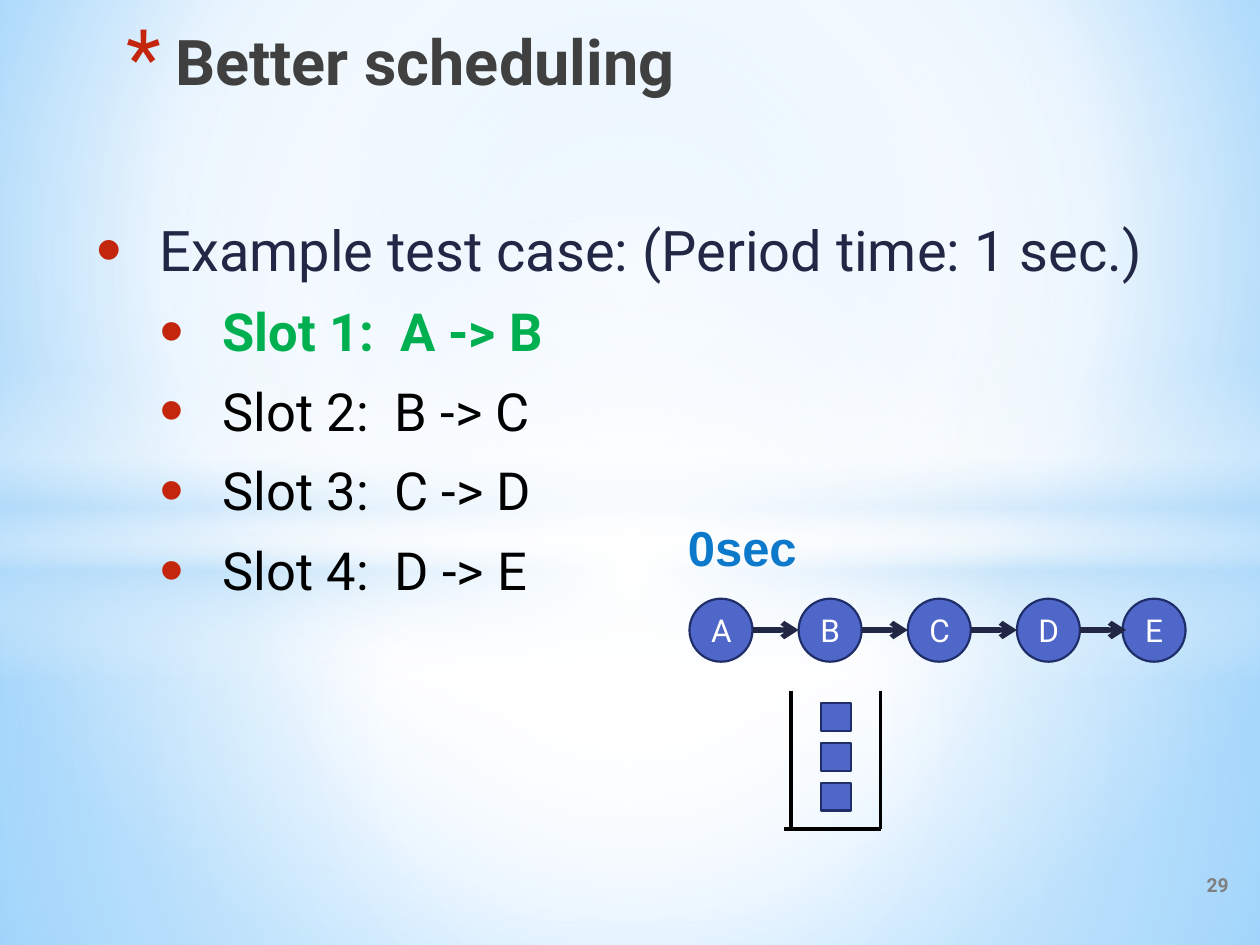
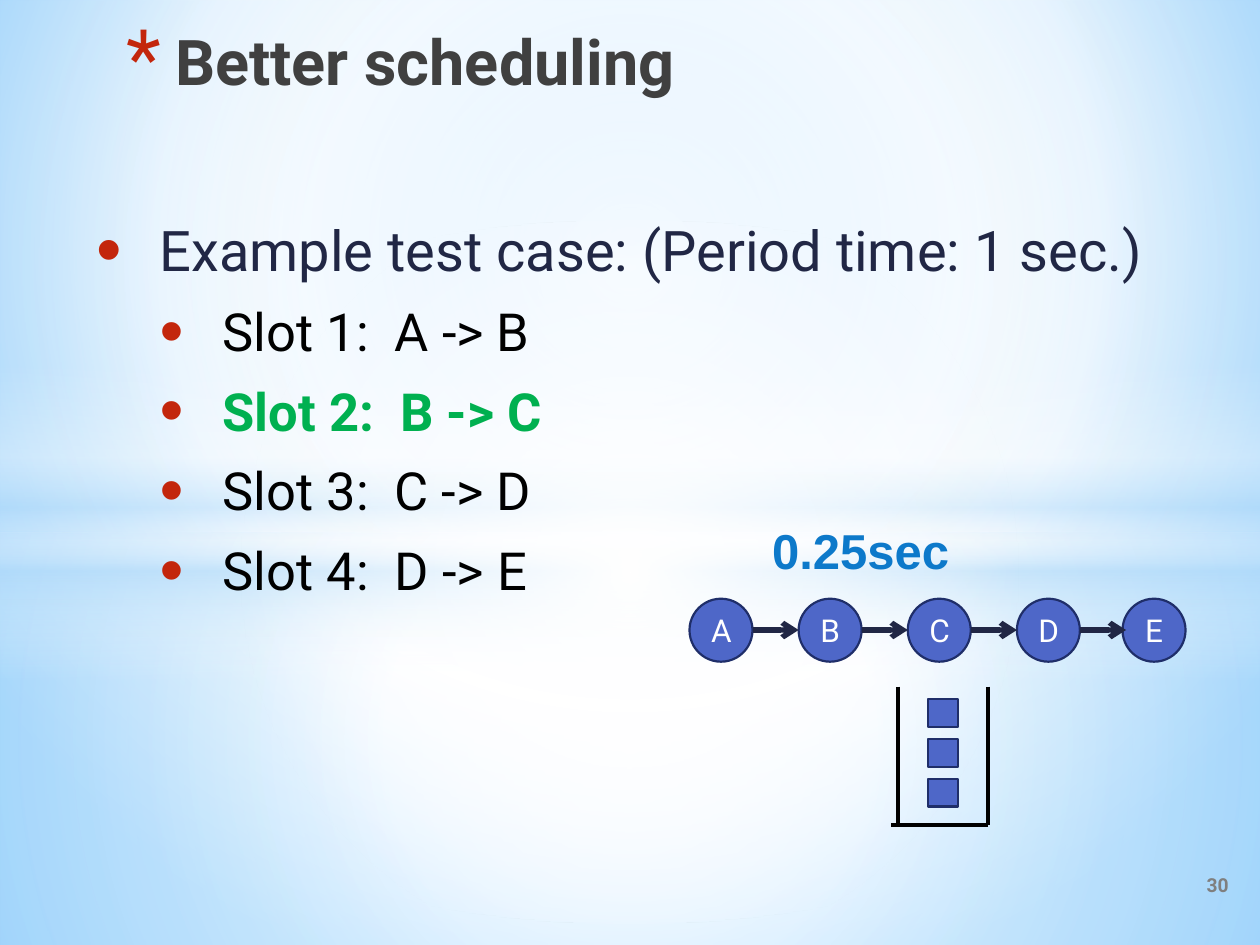
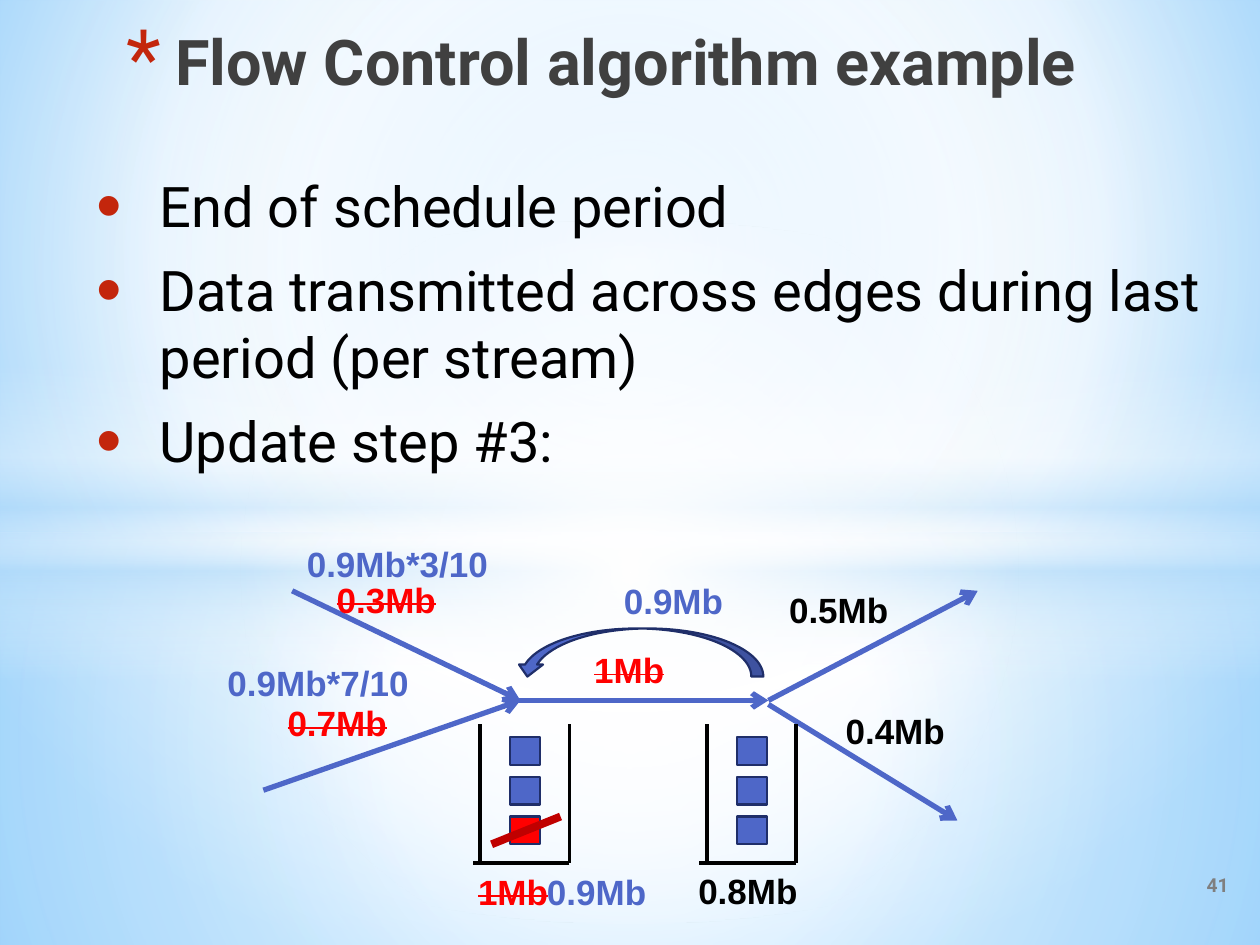
import lxml.etree
import pptx
import pptx.dml.color
import pptx.enum.dml
import pptx.enum.shapes
import pptx.enum.text
import pptx.oxml.ns
import pptx.util

Cm, Pt = pptx.util.Cm, pptx.util.Pt
RGBColor = pptx.dml.color.RGBColor
SHAPE = pptx.enum.shapes.MSO_SHAPE
ALIGN = pptx.enum.text.PP_ALIGN
MIDDLE = pptx.enum.text.MSO_ANCHOR.MIDDLE
STRAIGHT = pptx.enum.shapes.MSO_CONNECTOR.STRAIGHT
qn = pptx.oxml.ns.qn
sub = lxml.etree.SubElement

BLACK = RGBColor(0x00, 0x00, 0x00)
WHITE = RGBColor(0xFF, 0xFF, 0xFF)
TITLE_GRAY = RGBColor(0x40, 0x40, 0x40)
NUMBER_GRAY = RGBColor(0x7F, 0x7F, 0x7F)
NAVY = RGBColor(0x21, 0x27, 0x45)
GREEN = RGBColor(0x00, 0xB0, 0x50)
BLUE = RGBColor(0x4E, 0x67, 0xC8)
OUTLINE = RGBColor(0x1F, 0x2E, 0x69)
TIME_BLUE = RGBColor(0x0D, 0x79, 0xCA)
RED = RGBColor(0xFF, 0x00, 0x00)
DARK_RED = RGBColor(0xC0, 0x00, 0x00)
BULLET_RED = RGBColor(0xC3, 0x26, 0x0C)
SKY = RGBColor(0x9E, 0xD5, 0xFF)
DEEP_SKY = RGBColor(0x5B, 0xB9, 0xFF)
PALE = RGBColor(0xB4, 0xDC, 0xFA)


def add_text(tf, text, size=20, color=BLACK, font="Roboto", bold=False, strike=False,
             align=ALIGN.LEFT, bullet=None, bullet_size=130, bullet_font="Arial",
             indent=1.27, level=0, before=0, after=0):
    """Write one paragraph into a text frame."""
    p = tf.add_paragraph() if tf.text else tf.paragraphs[0]
    p.alignment, p.level = align, level
    p.space_before, p.space_after = Pt(before), Pt(after)
    if bullet:
        pPr = p._p.get_or_add_pPr()
        pPr.set("marL", str(Cm(indent * (level + 1))))
        pPr.set("indent", str(-Cm(indent)))
        sub(sub(pPr, qn("a:buClr")), qn("a:srgbClr"), val=str(BULLET_RED))
        sub(pPr, qn("a:buSzPct"), val=str(bullet_size * 1000))
        sub(pPr, qn("a:buFont"), typeface=bullet_font)
        sub(pPr, qn("a:buChar"), char=bullet)
    r = p.add_run()
    r.text = text
    r.font.size, r.font.name, r.font.bold = Pt(size), font, bold
    r.font.color.rgb = color
    if strike:
        r.font._element.set("strike", "sngStrike")


def set_gradient(props, stops, focus=None):
    """Swap a solid fill for stops (position, colour, opacity), round or top to bottom."""
    solid = props.find(qn("a:solidFill"))
    grad = lxml.etree.Element(qn("a:gradFill"), rotWithShape="1")
    gs_list = sub(grad, qn("a:gsLst"))
    for pos, color, opacity in stops:
        gs = sub(gs_list, qn("a:gs"), pos=str(pos * 1000))
        clr = sub(gs, qn("a:srgbClr"), val=str(color))
        sub(clr, qn("a:alpha"), val=str(opacity * 1000))
    if focus:
        circle = sub(grad, qn("a:path"), path="circle")
        sub(circle, qn("a:fillToRect"),
            **{side: str(v * 1000) for side, v in zip("ltrb", focus)})
    else:
        sub(grad, qn("a:lin"), ang="5400000", scaled="0")
    props.replace(solid, grad)


prs = pptx.Presentation()
prs.slide_width, prs.slide_height = Cm(25.4), Cm(19.05)

# Shared background and light bands
master = prs.slide_master
master.background.fill.solid()
master.background.fill.fore_color.rgb = WHITE
set_gradient(master.element.find(".//" + qn("p:bgPr")),
             [(0, SKY, 100), (60, WHITE, 100), (100, DEEP_SKY, 100)], (20, 10, 20, 60))

CENTER = (50, 50, 50, 50)
BANDS = [
    (SHAPE.RECTANGLE, 10.74, 8.31, CENTER, [(0, WHITE, 91), (37, WHITE, 76), (100, PALE, 79)]),
    (SHAPE.RECTANGLE, 0, 10.74, CENTER, [(0, WHITE, 89), (48, WHITE, 62), (100, PALE, 79)]),
    (SHAPE.RECTANGLE, 7.37, 6.35, None,
     [(0, WHITE, 0), (29, WHITE, 30), (45, PALE, 40), (55, WHITE, 26),
      (65, PALE, 60), (100, WHITE, 0)]),
    (SHAPE.OVAL, 4.45, 14.17, CENTER, [(0, WHITE, 100), (54, WHITE, 0)]),
]

# Scheduling slides: the active slot, the time label and the queue under its node
SLOTS = ["Slot 1:  A -> B", "Slot 2:  B -> C", "Slot 3:  C -> D", "Slot 4:  D -> E"]
NODES = list(zip("ABCDE", (13.9, 16.1, 18.3, 20.5, 22.63)))
slides = []
for number, active, label, queue in [
    (29, 0, ("0sec", 12.5, 10.31, 3.81, TIME_BLUE), (15.95, 13.92)),
    (30, 1, ("0.25sec", 15.14, 10.36, 4.24, TIME_BLUE), (18.11, 13.84)),
]:
    body = [("Example test case: (Period time: 1 sec.)", 0, 32, NAVY, False)]
    for i, slot in enumerate(SLOTS):
        body.append((slot, 1, 30, GREEN if i == active else BLACK, i == active))
    slides.append(dict(
        title="Better scheduling", title_width=21, number=number,
        body=body, body_top=2.51, body_inset=1.83,
        labels=[label], label_size=28, label_height=1.45,
        shapes=[(SHAPE.OVAL, x, 12.07, 1.27, 1.27, BLUE, name) for name, x in NODES],
        lines=[(x + 1.27, 12.7, x + 2.2, 12.7, NAVY, 3, True) for _, x in NODES[:-1]],
        queues=[(*queue, BLUE)]))

# Flow control slide
slides.append(dict(
    title="Flow Control algorithm example", title_width=23.09, number=41,
    body=[(text, 0, 32, BLACK, False) for text in (
        "End of schedule period",
        "Data transmitted across edges during last period (per stream)",
        "Update step #3:")],
    body_top=3.33, body_inset=0.13, label_size=20, label_height=1.12,
    labels=[
        ("0.3Mb", 6.5, 11.53, 2.54, RED),
        ("1Mb", 11.1, 12.95, 2.54, RED),
        ("0.5Mb", 15.62, 11.73, 2.54, BLACK),
        ("0.4Mb", 16.76, 14.17, 2.54, BLACK),
        ("0.9Mb", 10.74, 17.42, 2.54, BLUE),
        ("0.8Mb", 13.79, 17.4, 2.54, BLACK),
        ("0.9Mb", 12.29, 11.56, 2.54, BLUE),
        ("1Mb", 8.76, 17.42, 2.54, RED),
        ("0.7Mb", 5.51, 14.02, 2.54, RED),
        ("0.9Mb*3/10", 5.11, 10.82, 4.98, BLUE),
        ("0.9Mb*7/10", 3.51, 13.21, 4.98, BLUE),
    ],
    shapes=[(SHAPE.CURVED_DOWN_ARROW, 10.39, 12.67, 5, 0.97, BLUE, "")],
    lines=[
        (5.89, 11.91, 10.49, 14.12, BLUE, 3, True),
        (5.31, 15.93, 10.49, 14.12, BLUE, 3, True),
        (10.31, 14.12, 15.49, 14.12, BLUE, 3, True),
        (15.49, 14.2, 19.3, 16.54, BLUE, 3, True),
        (15.49, 14.12, 19.71, 11.91, BLUE, 3, True),
    ],
    queues=[(14.25, 14.6, BLUE), (9.68, 14.6, RED)],
    strike_out=(9.91, 17.02, 11.3, 16.46, DARK_RED, 4.5, False)))

for data in slides:
    slide = prs.slides.add_slide(prs.slide_layouts[6])

    # Bands
    for preset, top, height, focus, stops in BANDS:
        sp = slide.shapes.add_shape(preset, 0, Cm(top), prs.slide_width, Cm(height))
        sp.shadow.inherit = False
        sp.line.fill.background()
        sp.fill.solid()
        sp.fill.fore_color.rgb = WHITE
        set_gradient(sp.element.spPr, stops, focus)

    # Body
    tf = slide.shapes.add_textbox(Cm(1.7), Cm(data["body_top"]), Cm(22.81), Cm(8.2)).text_frame
    tf.word_wrap = True
    tf.margin_top = Cm(data["body_inset"])
    for text, level, size, color, bold in data["body"]:
        add_text(tf, text, size=size, color=color, bold=bold, level=level,
                 bullet="•", before=6.5, after=3)

    # Title
    tf = slide.shapes.add_textbox(Cm(2.31), Cm(0.33), Cm(data["title_width"]), Cm(2.79)).text_frame
    tf.word_wrap = True
    add_text(tf, data["title"], size=36, color=TITLE_GRAY, bold=True, bullet="*",
             bullet_size=128, bullet_font="Roboto", indent=0.97)

    # Slide number
    tf = slide.shapes.add_textbox(Cm(15.7), Cm(17.32), Cm(9.32), Cm(1.02)).text_frame
    tf.word_wrap = True
    tf.vertical_anchor = MIDDLE
    add_text(tf, str(data["number"]), size=11, color=NUMBER_GRAY, bold=True, align=ALIGN.RIGHT)

    # Queues: three packets between two posts on a base
    shapes, lines = list(data["shapes"]), list(data["lines"])
    for x, y, last_color in data["queues"]:
        for i, color in enumerate((BLUE, BLUE, last_color)):
            shapes.append((SHAPE.RECTANGLE, x + 0.6, y + 0.26 + 0.8 * i, 0.61, 0.56, color, ""))
        right, bottom = x + 1.8, y + 2.8
        lines += [(x, y, x, bottom, BLACK, 2.25, False),
                  (right, bottom, x - 0.15, bottom, BLACK, 2.25, False),
                  (right, y, right, bottom, BLACK, 2.25, False)]
    if "strike_out" in data:
        lines.append(data["strike_out"])

    # Nodes, packets and the return arrow
    for preset, x, y, w, h, color, name in shapes:
        sp = slide.shapes.add_shape(preset, Cm(x), Cm(y), Cm(w), Cm(h))
        sp.shadow.inherit = False
        sp.fill.solid()
        sp.fill.fore_color.rgb = color
        sp.line.color.rgb = OUTLINE
        sp.line.width = Pt(1.25)
        if preset == SHAPE.CURVED_DOWN_ARROW:
            sp.element.spPr.find(qn("a:xfrm")).set("flipH", "1")
        if name:
            sp.text_frame.vertical_anchor = MIDDLE
            add_text(sp.text_frame, name, size=18, color=WHITE, align=ALIGN.CENTER)

    # Lines and arrows
    for x1, y1, x2, y2, color, width, arrow in lines:
        cn = slide.shapes.add_connector(STRAIGHT, Cm(x1), Cm(y1), Cm(x2), Cm(y2))
        cn.line.color.rgb = color
        cn.line.width = Pt(width)
        spPr = cn.element.spPr
        if arrow:
            sub(spPr.find(qn("a:ln")), qn("a:tailEnd"), type="arrow")
        sub(spPr, qn("a:effectLst"))

    # Labels; red values are struck through
    for text, x, y, width, color in data["labels"]:
        tf = slide.shapes.add_textbox(Cm(x), Cm(y), Cm(width), Cm(data["label_height"])).text_frame
        tf.word_wrap = True
        add_text(tf, text, size=data["label_size"], color=color, font="Arial", bold=True,
                 strike=color == RED, align=ALIGN.RIGHT)

prs.save("out.pptx")
